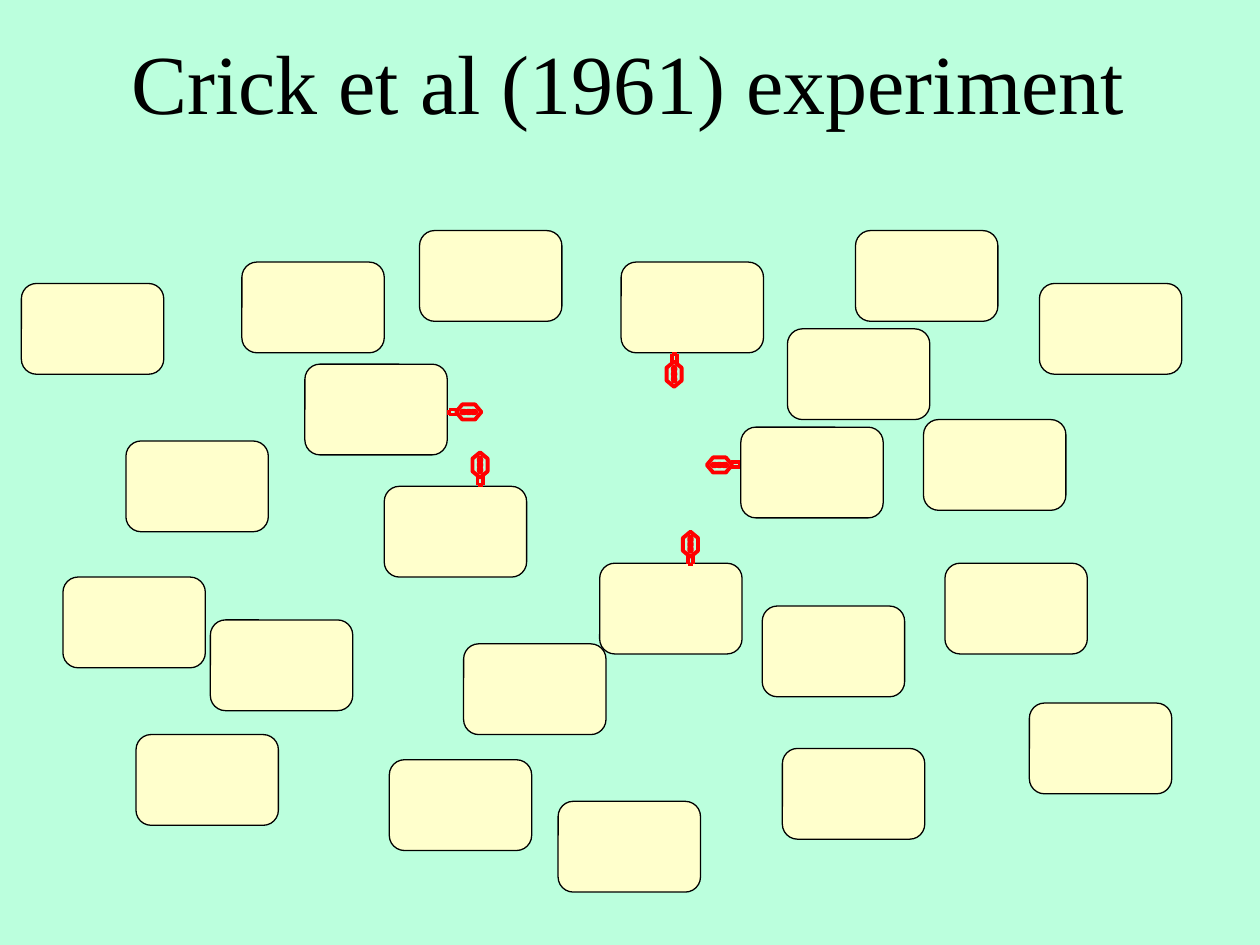
import pptx
import pptx.util
import pptx.dml.color
import pptx.enum.shapes
import pptx.enum.text
import pptx.oxml

Inches, Pt = pptx.util.Inches, pptx.util.Pt
SHAPE = pptx.enum.shapes.MSO_SHAPE
COLORS = {"background": "BBFFDD", "cell": "FFFFCC", "outline": "000000",
          "phage": "FF0000", "title": "000000"}
CELL_W, CELL_H = 1.13, 0.72
CELLS = [
    (5.88, 3.39), (4.76, 4.47), (6.05, 4.81), (3.68, 5.11), (3.05, 3.86),
    (2.42, 2.89), (4.93, 2.08), (6.25, 2.61), (3.33, 1.83), (1.92, 2.08),
    (1.67, 4.92), (1, 3.5), (7.33, 3.33), (0.17, 2.25), (6.79, 1.83),
    (8.17, 5.58), (6.21, 5.94), (4.43, 6.36), (7.5, 4.47), (8.25, 2.25),
    (3.09, 6.03), (0.5, 4.58), (1.08, 5.83),
]
# Tail end on the cell wall, and clockwise angle of the head from rightwards
PHAGE_BEHIND_CELLS = (5.87, 3.69, 180)
PHAGES_ON_CELLS = [(5.48, 4.48, 270), (3.81, 3.85, 270), (3.56, 3.27, 0), (5.35, 2.81, 90)]
DIRECTIONS = {0: (1, 0), 90: (0, 1), 180: (-1, 0), 270: (0, -1)}


def rgb(name):
    return pptx.dml.color.RGBColor.from_string(COLORS[name])


def set_line(part, color, width):
    part.line.color.rgb = rgb(color)
    part.line.width = Pt(width)


def add_title(slide, left, top, width, height):
    box = slide.shapes.add_textbox(*map(Inches, (left, top, width, height)))
    frame = box.text_frame
    frame.word_wrap = True
    heading = frame.paragraphs[0]
    heading.alignment = pptx.enum.text.PP_ALIGN.CENTER
    heading.space_before = Pt(5)
    run = heading.add_run()
    run.text = "Crick et al (1961) experiment"
    run.font.name = "Times New Roman"
    run.font.size = Pt(48)
    run.font.color.rgb = rgb("title")


def add_cell(slide, left, top):
    cell = slide.shapes.add_shape(SHAPE.ROUNDED_RECTANGLE,
                                  *map(Inches, (left, top, CELL_W, CELL_H)))
    cell.shadow.inherit = False
    cell.fill.solid()
    cell.fill.fore_color.rgb = rgb("cell")
    set_line(cell, "outline", 0.75)


def add_phage(slide, x, y, angle):
    """Draw a phage whose tail ends at (x, y) and whose head points along angle."""
    group = slide.shapes.add_group_shape()
    dx, dy = DIRECTIONS[angle]

    def point(along, across):
        return Inches(x + along * dx - across * dy), Inches(y + along * dy + across * dx)

    def add_part(kind, along, length, breadth):
        center_x, center_y = point(along, 0)
        part = group.shapes.add_shape(kind, center_x - Inches(length / 2),
                                      center_y - Inches(breadth / 2),
                                      Inches(length), Inches(breadth))
        part.rotation = angle
        part.shadow.inherit = False
        part.fill.background()
        set_line(part, "phage", 2.25)
        return part

    head = add_part(SHAPE.HEXAGON, 0.16, 0.2, 0.12)
    head.adjustments[0] = 0.41
    for along in (0.12, 0.16, 0.2):
        add_part(SHAPE.OVAL, along, 0.04, 0.02)

    tail = [((0.07, -0.02), (0, -0.02)), ((0.07, 0.02), (0, 0.02)), ((0, -0.02), (0, 0.02))]
    for start, end in tail:
        side = group.shapes.add_connector(pptx.enum.shapes.MSO_CONNECTOR.STRAIGHT,
                                          *point(*start), *point(*end))
        set_line(side, "phage", 2.25)
        side._element.spPr.append(pptx.oxml.parse_xml(
            '<a:effectLst xmlns:a="http://schemas.openxmlformats.org/drawingml/2006/main"/>'))


def main():
    deck = pptx.Presentation()
    deck.slide_width, deck.slide_height = Inches(10), Inches(7.5)
    slide = deck.slides.add_slide(deck.slide_layouts[6])
    slide.background.fill.solid()
    slide.background.fill.fore_color.rgb = rgb("background")

    add_phage(slide, *PHAGE_BEHIND_CELLS)
    for corner in CELLS:
        add_cell(slide, *corner)
    for phage in PHAGES_ON_CELLS:
        add_phage(slide, *phage)
    add_title(slide, 0.07, 0.19, 9.83, 0.9)
    deck.save("out.pptx")


if __name__ == "__main__":
    main()
